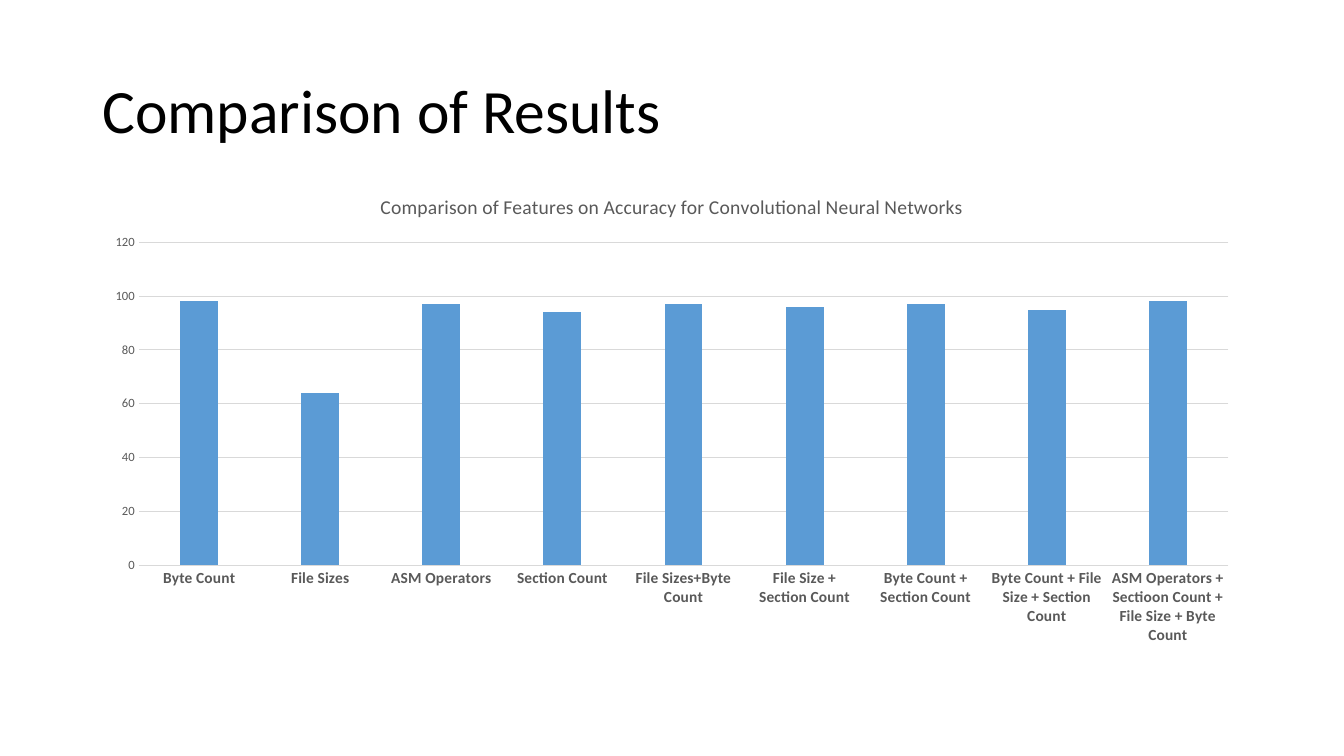
from pptx import Presentation
from pptx.chart.data import CategoryChartData
from pptx.dml.color import RGBColor
from pptx.enum.chart import XL_CHART_TYPE, XL_TICK_MARK
from pptx.enum.text import MSO_ANCHOR, PP_ALIGN
from pptx.util import Pt

# Content
HEADING = "Comparison of Results"
CHART_TITLE = "Comparison of Features on Accuracy for Convolutional Neural Networks"
ACCURACY = {
    "Byte Count": 98,
    "File Sizes": 64,
    "ASM Operators": 97,
    "Section Count": 94,
    "File Sizes+Byte Count": 97,
    "File Size + Section Count": 96,
    "Byte Count + Section Count": 97,
    "Byte Count + File Size + Section Count": 95,
    "ASM Operators + Sectioon Count + File Size + Byte Count": 98,
}

# Style
FONT = "Calibri"
BLACK = RGBColor(0x00, 0x00, 0x00)
GRAY = RGBColor(0x59, 0x59, 0x59)
LIGHT_GRAY = RGBColor(0xD9, 0xD9, 0xD9)
BLUE = RGBColor(0x5B, 0x9B, 0xD5)

# Layout in points
SLIDE_WIDTH, SLIDE_HEIGHT = 960, 540
MARGIN = 66
CONTENT_WIDTH = SLIDE_WIDTH - 2 * MARGIN
HEADING_TOP, HEADING_HEIGHT = 28.75, 104.4
CHART_TOP, CHART_HEIGHT = 124.6, 342.7


def format_font(font, size, color=GRAY, bold=False):
    font.name = FONT
    font.size = Pt(size)
    font.bold = bold
    font.color.rgb = color


def write_text(frame, text, align=None, line_spacing=None, **font_format):
    frame.text = text
    paragraph = frame.paragraphs[0]
    paragraph.alignment = align
    paragraph.line_spacing = line_spacing
    format_font(paragraph.runs[0].font, **font_format)


def format_line(line):
    line.color.rgb = LIGHT_GRAY
    line.width = Pt(0.75)


presentation = Presentation()
presentation.slide_width = Pt(SLIDE_WIDTH)
presentation.slide_height = Pt(SLIDE_HEIGHT)
title_only = presentation.slide_layouts[5]
slide = presentation.slides.add_slide(title_only)

# Heading
heading = slide.shapes.title
heading.left, heading.top = Pt(MARGIN), Pt(HEADING_TOP)
heading.width, heading.height = Pt(CONTENT_WIDTH), Pt(HEADING_HEIGHT)
heading.text_frame.vertical_anchor = MSO_ANCHOR.MIDDLE
write_text(heading.text_frame, HEADING, align=PP_ALIGN.LEFT,
           line_spacing=0.9, size=44, color=BLACK)

# Accuracy chart
chart_data = CategoryChartData()
chart_data.categories = list(ACCURACY)
chart_data.add_series("Series 1", list(ACCURACY.values()))
chart = slide.shapes.add_chart(
    XL_CHART_TYPE.COLUMN_CLUSTERED, Pt(MARGIN), Pt(CHART_TOP),
    Pt(CONTENT_WIDTH), Pt(CHART_HEIGHT), chart_data).chart
format_font(chart.font, size=10, color=BLACK)
chart.has_legend = False
chart.has_title = True
write_text(chart.chart_title.text_frame, CHART_TITLE, size=14)
chart.chart_title.include_in_layout = False

# Columns
columns = chart.plots[0]
columns.vary_by_categories = False
columns.gap_width = 219
columns.overlap = -27
accuracy_fill = columns.series[0].format.fill
accuracy_fill.solid()
accuracy_fill.fore_color.rgb = BLUE

# Axes
features, scale = chart.category_axis, chart.value_axis
for axis in (features, scale):
    axis.major_tick_mark = axis.minor_tick_mark = XL_TICK_MARK.NONE
format_font(features.tick_labels.font, size=11, bold=True)
format_font(scale.tick_labels.font, size=9)
format_line(features.format.line)
scale.format.line.fill.background()
scale.minimum_scale, scale.maximum_scale, scale.major_unit = 0, 120, 20
scale.has_major_gridlines = True
format_line(scale.major_gridlines.format.line)

presentation.save("out.pptx")
